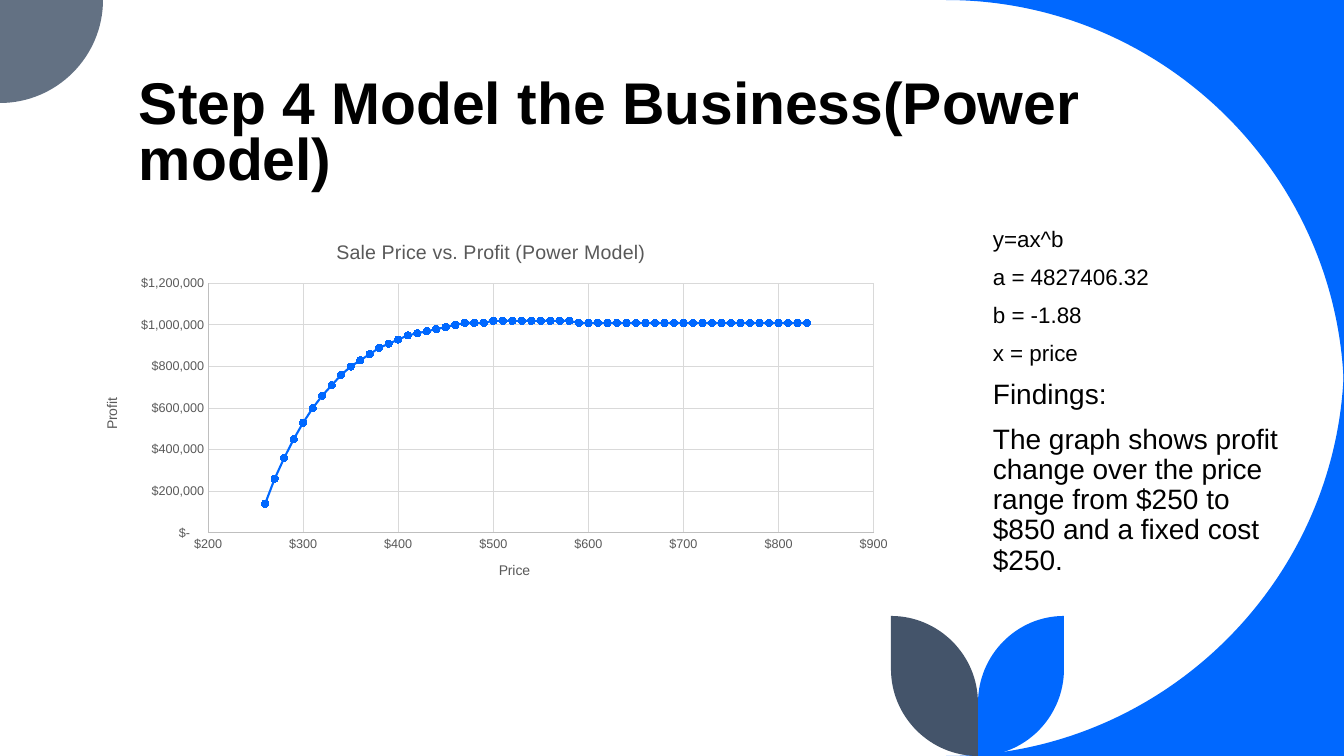
from lxml.etree import SubElement
from pptx import Presentation
from pptx.chart.data import XyChartData
from pptx.dml.color import RGBColor
from pptx.enum.chart import XL_CHART_TYPE, XL_MARKER_STYLE, XL_TICK_LABEL_POSITION, XL_TICK_MARK
from pptx.enum.text import MSO_ANCHOR
from pptx.oxml.ns import qn
from pptx.util import Pt

PX = 914400 / 100.8
ARC_CONTROL = 0.55
FONT = "Arial"
BLUE, SLATE, NAVY = "0068FF", "637183", "44546A"
BLACK, GRAY, AXIS, GRID = "000000", "595959", "BFBFBF", "D9D9D9"
TITLE = "Step 4 Model the Business(Power model)"
FINDINGS = [
    ("y=ax^b", 16),
    ("a = 4827406.32", 16),
    ("b = -1.88", 16),
    ("x = price", 16),
    ("Findings:", 20),
    ("The graph shows profit change over the price range from $250 to $850 "
     "and a fixed cost $250.", 20),
]
PRICES = range(260, 831, 10)
PROFIT_THOUSANDS = (
    [140, 260, 360, 450, 530, 600, 660, 710, 760, 800, 830, 860, 890, 910, 930,
     950, 960, 970, 980, 990, 1000] + [1010] * 3 + [1020] * 9 + [1010] * 25
)


def px(length):
    return round(length * PX)


def color(hex_value):
    return RGBColor.from_string(hex_value)


def toward(point, corner):
    return tuple(p + ARC_CONTROL * (c - p) for p, c in zip(point, corner))


def quarter(start, corner, end):
    return [toward(start, corner), toward(end, corner), end]


def add_outline(slide, start, steps, fill):
    builder = slide.shapes.build_freeform(*map(px, start), scale=1.0)
    for step in steps:
        builder.add_line_segments([(px(x), px(y)) for x, y in step], close=False)
    shape = builder.convert_to_shape()
    segments = iter(list(shape.element.iter(qn("a:lnTo"))))
    for step in steps:
        first, *others = [next(segments) for point in step]
        if others:
            first.tag = qn("a:lnTo")
            curve = SubElement(first.getparent(), qn("a:cubicBezTo"))
            first.addprevious(curve)
            for segment in [first, *others]:
                curve.append(segment[0])
                segment.getparent().remove(segment)
    outline = next(shape.element.iter(qn("a:moveTo"))).getparent()
    SubElement(outline, qn("a:close"))
    shape.shadow.inherit = False
    shape.fill.solid()
    shape.fill.fore_color.rgb = color(fill)
    shape.line.fill.background()


def add_leaf(slide, stem_x, tip_x, fill):
    tip, side = (tip_x, 616), (tip_x, 669)
    root, stem = (stem_x, 756), (stem_x, 703)
    steps = [[side], quarter(side, (tip_x, 756), root),
             [stem], quarter(stem, (stem_x, 616), tip)]
    add_outline(slide, tip, steps, fill)


def add_corner(slide, origin, start, corner, end, fill):
    add_outline(slide, origin, [[start], quarter(start, corner, end)], fill)


def add_text(slide, box, lines, spacing, before=0, bold=False, anchor=MSO_ANCHOR.TOP):
    text_frame = slide.shapes.add_textbox(*map(px, box)).text_frame
    text_frame.word_wrap = True
    text_frame.vertical_anchor = anchor
    text_frame.text = "\n".join(text for text, size in lines)
    for paragraph, (text, size) in zip(text_frame.paragraphs, lines):
        paragraph.line_spacing = spacing
        paragraph.space_before = Pt(before)
        format_font(paragraph.runs[0].font, size, BLACK, bold)


def format_font(font, size, hex_value, bold=False):
    font.name = FONT
    font.size = Pt(size)
    font.bold = bold
    font.color.rgb = color(hex_value)


def set_title(owner, text, size):
    text_frame = owner.text_frame
    text_frame.text = text
    format_font(text_frame.paragraphs[0].runs[0].font, size, GRAY)


def format_line(line, hex_value, width):
    line.color.rgb = color(hex_value)
    line.width = Pt(width)


def format_axis(axis, title, low, high, step, number_format):
    axis.minimum_scale, axis.maximum_scale, axis.major_unit = low, high, step
    axis.major_tick_mark = axis.minor_tick_mark = XL_TICK_MARK.NONE
    axis.tick_label_position = XL_TICK_LABEL_POSITION.NEXT_TO_AXIS
    axis.tick_labels.number_format = number_format
    axis.tick_labels.number_format_is_linked = False
    format_font(axis.tick_labels.font, 9, GRAY)
    axis.has_major_gridlines = True
    format_line(axis.major_gridlines.format.line, GRID, 0.75)
    format_line(axis.format.line, AXIS, 0.75)
    set_title(axis.axis_title, title, 10)


def place_plot(chart, x, y, w, h):
    plot_area = chart.element.find(".//" + qn("c:plotArea"))
    layout = plot_area.find(qn("c:layout"))
    if layout is None:
        layout = SubElement(plot_area, qn("c:layout"))
        plot_area.insert(0, layout)
    manual = SubElement(layout, qn("c:manualLayout"))
    settings = {"layoutTarget": "inner", "xMode": "edge", "yMode": "edge",
                "x": x, "y": y, "w": w, "h": h}
    for name, value in settings.items():
        SubElement(manual, qn("c:" + name)).set("val", str(value))


def add_profit_chart(slide, box):
    data = XyChartData()
    points = data.add_series("Series 1")
    for price, thousands in zip(PRICES, PROFIT_THOUSANDS):
        points.add_data_point(price, thousands * 1000)
    chart = slide.shapes.add_chart(XL_CHART_TYPE.XY_SCATTER_LINES, *map(px, box), data).chart
    format_font(chart.font, 10, BLACK)
    chart.has_legend = False
    chart.has_title = True
    set_title(chart.chart_title, "Sale Price vs. Profit (Power Model)", 14)
    format_axis(chart.category_axis, "Price", 200, 900, 100, '"$"#,##0')
    format_axis(chart.value_axis, "Profit", 0, 1200000, 200000,
                '"$"#,##0;-"$"#,##0;"$-"??')
    place_plot(chart, 0.16, 0.16, 0.8, 0.66)
    chart.plots[0].vary_by_categories = False
    series = chart.plots[0].series[0]
    series.smooth = False
    format_line(series.format.line, BLUE, 1.5)
    series.marker.style = XL_MARKER_STYLE.CIRCLE
    series.marker.size = 5
    series.marker.format.fill.solid()
    series.marker.format.fill.fore_color.rgb = color(BLUE)
    format_line(series.marker.format.line, BLUE, 0.75)


def main():
    presentation = Presentation()
    presentation.slide_width, presentation.slide_height = px(1344), px(756)
    slide = presentation.slides.add_slide(presentation.slide_layouts[6])
    top_right, bottom_right = (1344, 0), (1344, 756)
    add_corner(slide, top_right, (946, 0), top_right, (1344, 398), BLUE)
    add_corner(slide, bottom_right, (1344, 358), bottom_right, (946, 756), BLUE)
    add_corner(slide, (0, 0), (103, 0), (103, 103), (0, 103), SLATE)
    add_leaf(slide, 978, 1064, BLUE)
    add_leaf(slide, 978, 891, NAVY)
    add_text(slide, (129, 15, 1117, 182), [(TITLE, 42)], 0.8, bold=True,
             anchor=MSO_ANCHOR.BOTTOM)
    add_text(slide, (983, 223, 321, 367), FINDINGS, 0.9, before=10)
    add_profit_chart(slide, (75, 223, 832, 378))
    presentation.save("out.pptx")


if __name__ == "__main__":
    main()
